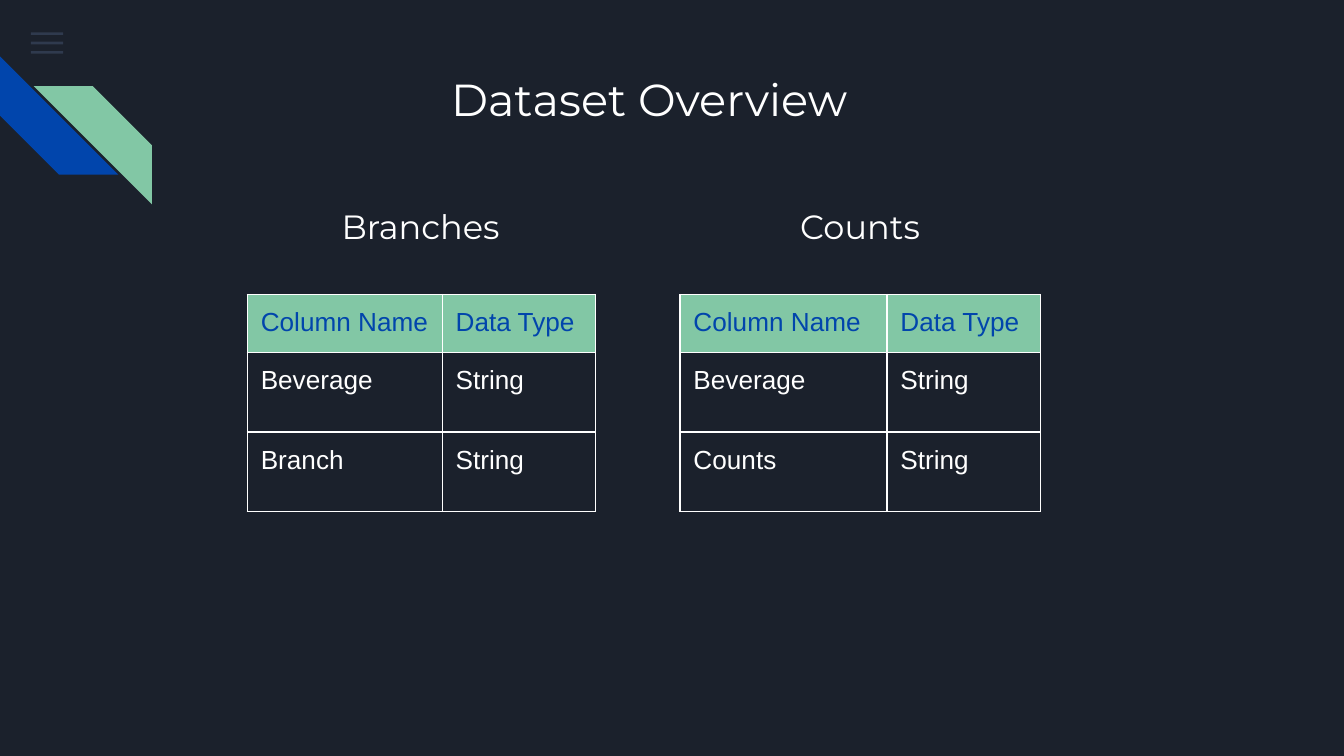
"""Build the Dataset Overview slide with two column-type tables."""
from lxml import etree
from pptx import Presentation
from pptx.dml.color import RGBColor
from pptx.enum.shapes import MSO_SHAPE
from pptx.enum.text import MSO_ANCHOR, PP_ALIGN
from pptx.oxml.ns import qn
from pptx.util import Inches, Pt

RECTANGLE, STRIPE = MSO_SHAPE.RECTANGLE, MSO_SHAPE.DIAGONAL_STRIPE
TOP, CENTER, LEFT = MSO_ANCHOR.TOP, PP_ALIGN.CENTER, PP_ALIGN.LEFT

NAVY = RGBColor(0x1B, 0x21, 0x2C)
SLATE = RGBColor(0x55, 0x68, 0x8B)
BLUE = RGBColor(0x01, 0x45, 0xAC)
GREEN = RGBColor(0x82, 0xC7, 0xA5)
WHITE = RGBColor(0xFF, 0xFF, 0xFF)

INSET = Inches(0.1)
FRAME = dict(margin_left=INSET, margin_right=INSET, margin_top=INSET,
             margin_bottom=INSET, word_wrap=True, vertical_anchor=TOP)
ROW_HEIGHTS = (0.43, 0.59, 0.59)
HEADER = ("Column Name", "Data Type")
TABLES = (
    ("Branches", 2.18, 1.84, (1.45, 1.14), ("Beverage", "Branch")),
    ("Counts", 5.45, 5.06, (1.54, 1.14), ("Beverage", "Counts")),
)


def set_text(tf, text, size, font, color, align):
    for name, value in FRAME.items():
        setattr(tf, name, value)
    p = tf.paragraphs[0]
    p.alignment = align
    r = p.add_run()
    r.text = text
    for name, value in dict(size=Pt(size), name=font, bold=False).items():
        setattr(r.font, name, value)
    r.font.color.rgb = color


def add_block(s, kind, left, top, width, height, color, rotation=0, alpha=100):
    sp = s.shapes.add_shape(kind, Inches(left), Inches(top),
                            Inches(width), Inches(height))
    sp.shadow.inherit = False
    sp.rotation = rotation
    sp.fill.solid()
    sp.fill.fore_color.rgb = color
    sp.line.fill.background()
    if alpha < 100:
        rgb = sp.fill._xPr.find(".//" + qn("a:srgbClr"))
        etree.SubElement(rgb, qn("a:alpha"), val=str(alpha * 1000))


def add_title(s, text):
    sp = s.shapes.title
    sp.left, sp.top, sp.width, sp.height = map(Inches, (0.98, 0.43, 7.7, 1))
    set_text(sp.text_frame, text, 24, "Montserrat", WHITE, CENTER)


def add_heading(s, text, left):
    sp = s.shapes.add_textbox(Inches(left), Inches(1.43), Inches(1.9), Inches(0.72))
    set_text(sp.text_frame, text, 18, "Montserrat", WHITE, CENTER)


def add_borders(cell):
    tc_pr = cell._tc.get_or_add_tcPr()
    for side in ("lnL", "lnR", "lnT", "lnB"):
        ln = etree.SubElement(tc_pr, qn("a:" + side), w=str(Pt(0.75)))
        fill = etree.SubElement(ln, qn("a:solidFill"))
        etree.SubElement(fill, qn("a:srgbClr"), val=str(WHITE))


def add_type_table(s, left, widths, names):
    rows = [HEADER] + [(name, "String") for name in names]
    frame = s.shapes.add_table(len(rows), len(widths), Inches(left), Inches(2.19),
                               Inches(sum(widths)), Inches(sum(ROW_HEIGHTS)))
    table = frame.table
    table.first_row = table.horz_banding = False
    for column, width in zip(table.columns, widths):
        column.width = Inches(width)
    for i, (row, height) in enumerate(zip(rows, ROW_HEIGHTS)):
        table.rows[i].height = Inches(height)
        for j, text in enumerate(row):
            cell = table.cell(i, j)
            cell.margin_left = cell.margin_right = INSET
            cell.margin_top = cell.margin_bottom = INSET
            set_text(cell.text_frame, text, 14, "Arial", WHITE if i else BLUE, LEFT)
            add_borders(cell)
            if i:
                cell.fill.background()
            else:
                cell.fill.solid()
                cell.fill.fore_color.rgb = GREEN


def main():
    prs = Presentation()
    prs.slide_width = Inches(10)
    prs.slide_height = prs.slide_width * 9 // 16
    s = prs.slides.add_slide(prs.slide_layouts[5])
    s.background.fill.solid()
    s.background.fill.fore_color.rgb = NAVY
    for i in range(3):
        add_block(s, RECTANGLE, 0.23, 0.24 + 0.07 * i, 0.24, 0.02, SLATE, alpha=36)
    add_block(s, STRIPE, 0, 0.42, 0.88, 0.88, BLUE, rotation=270)
    add_block(s, STRIPE, 0.25, 0.64, 0.88, 0.88, GREEN, rotation=90)
    add_title(s, "Dataset Overview")
    for heading, heading_left, table_left, widths, names in TABLES:
        add_heading(s, heading, heading_left)
        add_type_table(s, table_left, widths, names)
    prs.save("out.pptx")


if __name__ == "__main__":
    main()
